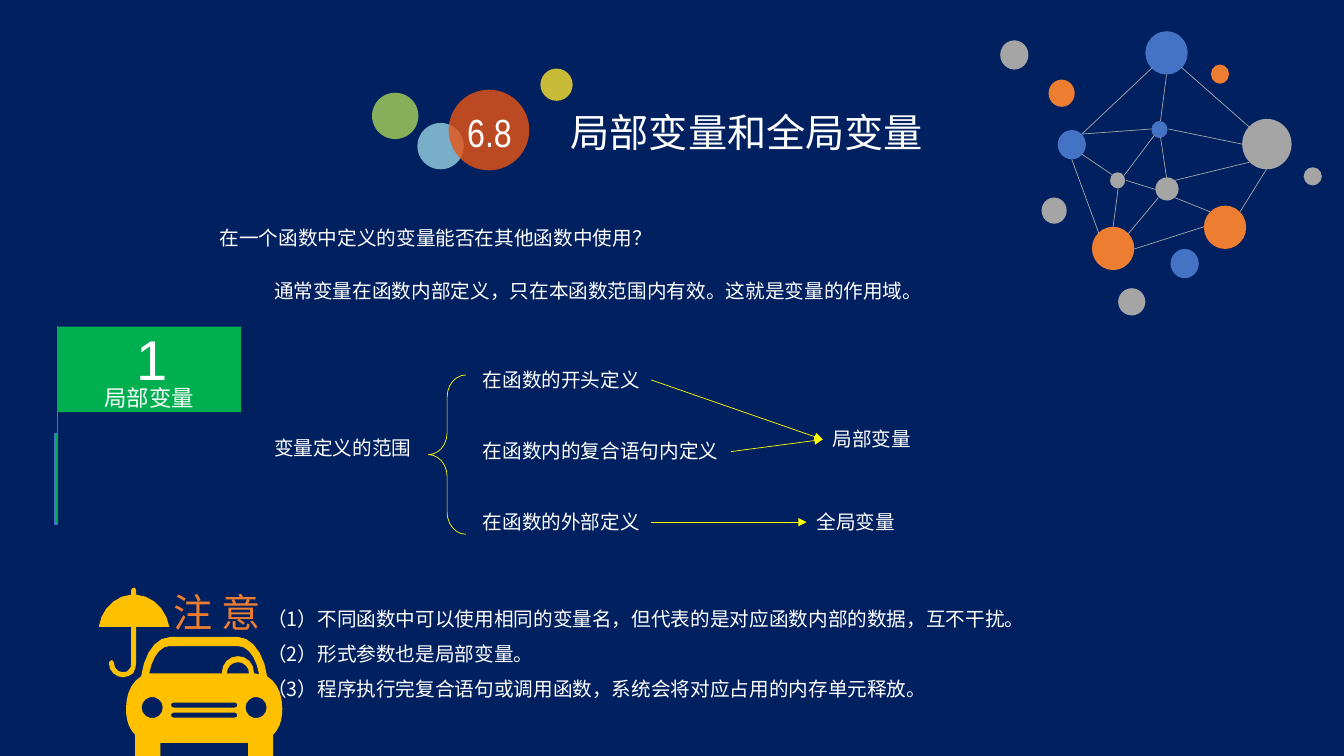
from dataclasses import dataclass
from math import ceil, cos, dist, pi, sin
from typing import NamedTuple

from lxml import etree
from pptx import Presentation
from pptx import util as u
from pptx.dml.color import RGBColor
from pptx.enum import shapes, text
from pptx.oxml.ns import qn


@dataclass(frozen=True)
class Theme:
    background: str = "002060"
    white: str = "FFFFFF"
    blue: str = "4472C4"
    orange: str = "ED7D31"
    gray: str = "A5A5A5"
    green: str = "00B050"
    amber: str = "FFC000"
    yellow: str = "FFFF00"
    font: str = "Noto Sans CJK SC"
    flag_font: str = "Arial"
    badge_font: str = "Arial Narrow"
    title_size: int = 28
    number_size: int = 40
    label_size: int = 16
    body_size: int = 14


THEME = Theme()


class Circle(NamedTuple):
    left: float
    top: float
    width: float
    height: float
    color: str


class Label(NamedTuple):
    left: float
    top: float
    width: float
    content: str


class Link(NamedTuple):
    x1: float
    y1: float
    x2: float
    y2: float


LABEL_HEIGHT = 0.34
BADGE_CIRCLES = [
    Circle(5.36, 0.68, 0.32, 0.32, "FBE22D"), Circle(3.69, 0.92, 0.46, 0.46, "A9D25A"),
    Circle(4.14, 1.22, 0.46, 0.46, "98D2E3"), Circle(4.45, 0.89, 0.8, 0.8, "EA5514"),
]
NETWORK_CIRCLES = [
    Circle(*box, color)
    for color, boxes in {
        THEME.blue: [(11.36, 0.31, 0.42, 0.43), (10.49, 1.29, 0.28, 0.29),
                     (11.42, 1.2, 0.16, 0.17), (11.61, 2.47, 0.28, 0.29)],
        THEME.orange: [(10.83, 2.25, 0.42, 0.43), (12.01, 0.64, 0.18, 0.19),
                       (11.94, 2.04, 0.42, 0.43), (10.4, 0.79, 0.26, 0.27)],
        THEME.gray: [(11.46, 1.76, 0.23, 0.23), (12.32, 1.18, 0.49, 0.5), (11.01, 1.71, 0.15, 0.16),
                     (9.92, 0.4, 0.28, 0.29), (11.09, 2.86, 0.27, 0.27),
                     (10.33, 1.96, 0.25, 0.26), (12.93, 1.66, 0.18, 0.18)],
    }.items()
    for box in boxes
]
NETWORK_LINKS = [
    Link(11.72, 0.67, 12.39, 1.26), Link(11.65, 1.79, 12.39, 1.61), Link(12.3, 2.1, 12.56, 1.68),
    Link(11.19, 2.32, 11.49, 1.96), Link(10.73, 1.33, 11.43, 0.67), Link(11.51, 1.2, 11.57, 0.74),
    Link(12.32, 1.43, 11.59, 1.28), Link(11.51, 1.36, 11.57, 1.76), Link(11.65, 1.96, 12, 2.1),
    Link(10.73, 1.33, 11.42, 1.28), Link(10.63, 1.58, 10.9, 2.32), Link(10.73, 1.53, 11.04, 1.74),
    Link(11.15, 1.74, 11.45, 1.34), Link(11.17, 1.79, 11.46, 1.88), Link(11.04, 2.25, 11.09, 1.87),
    Link(11.25, 2.47, 11.94, 2.25),
]
INTRO = [
    Label(2.62, 2.72, 6.68, "通常变量在函数内部定义，只在本函数范围内有效。这就是变量的作用域。"),
    Label(2.08, 2.19, 4.52, "在一个函数中定义的变量能否在其他函数中使用？"),
    Label(2.62, 4.28, 1.58, "变量定义的范围"),
]
PLACES = [
    Label(4.69, 3.6, 1.77, "在函数的开头定义"),
    Label(4.69, 4.31, 2.56, "在函数内的复合语句内定义"),
    Label(4.69, 5.01, 1.77, "在函数的外部定义"),
]
SCOPES = [Label(8.16, 4.19, 0.99, "局部变量"), Label(8, 5.01, 0.99, "全局变量")]
NOTES = """（1）不同函数中可以使用相同的变量名，但代表的是对应函数内部的数据，互不干扰。
（2）形式参数也是局部变量。
（3）程序执行完复合语句或调用函数，系统会将对应占用的内存单元释放。"""


def inches(*values: float) -> list:
    return [u.Inches(value) for value in values]


def place(shape, left: float, top: float, width: float, height: float) -> None:
    shape.left, shape.top, shape.width, shape.height = inches(left, top, width, height)


def write_text(shape, content: str, *, size=THEME.body_size, font=THEME.font, color=THEME.white,
               align=text.PP_ALIGN.LEFT, anchor=text.MSO_ANCHOR.TOP, spacing=1.0,
               wrap=False, grow=True, insets=(0.1, 0.05)) -> None:
    frame = shape.text_frame
    frame.text = content
    frame.word_wrap, frame.vertical_anchor = wrap, anchor
    frame.auto_size = text.MSO_AUTO_SIZE.SHAPE_TO_FIT_TEXT if grow else text.MSO_AUTO_SIZE.NONE
    frame.margin_left = frame.margin_right = u.Inches(insets[0])
    frame.margin_top = frame.margin_bottom = u.Inches(insets[1])
    for paragraph in frame.paragraphs:
        paragraph.alignment, paragraph.line_spacing = align, spacing
        paragraph.space_before = u.Pt(0)
        for run in paragraph.runs:
            run.font.size, run.font.name = u.Pt(size), font
            run.font.color.rgb = RGBColor.from_string(color)
            etree.SubElement(run.font._element, qn("a:ea"), typeface=font)


def add_text(slide, box: tuple, content: str, **style):
    shape = slide.shapes.add_textbox(*inches(*box))
    write_text(shape, content, **style)
    return shape


def add_label(slide, label: Label):
    return add_text(slide, (label.left, label.top, label.width, LABEL_HEIGHT), label.content)


def paint(shape, fill=None, line=None, weight=0.5, alpha=None) -> None:
    shape.shadow.inherit = False
    if fill:
        shape.fill.solid()
        shape.fill.fore_color.rgb = RGBColor.from_string(fill)
    else:
        shape.fill.background()
    if line:
        shape.line.color.rgb = RGBColor.from_string(line)
        shape.line.width = u.Pt(weight)
    else:
        shape.line.fill.background()
    if alpha:
        color = shape.element.spPr.find(".//" + qn("a:srgbClr"))
        etree.SubElement(color, qn("a:alpha"), val=str(alpha * 1000))


def add_preset(slide, kind, box: tuple, **style):
    shape = slide.shapes.add_shape(kind, *inches(*box))
    paint(shape, **style)
    return shape


def add_circle(slide, circle: Circle, alpha=None) -> None:
    add_preset(slide, shapes.MSO_SHAPE.OVAL, circle[:4], fill=circle.color, alpha=alpha)


def add_line(slide, link: Link, color: str, arrow=False):
    line = slide.shapes.add_connector(shapes.MSO_CONNECTOR.STRAIGHT, *inches(*link))
    line.line.color.rgb, line.line.width = RGBColor.from_string(color), u.Pt(0.5)
    if arrow:
        etree.SubElement(line.line._get_or_add_ln(), qn("a:tailEnd"), type="triangle")
    etree.SubElement(line.element.spPr, qn("a:effectLst"))
    return line


def arc(x: float, y: float, radius: float, start: float, end: float, steps: int) -> list:
    """Points on a circle; angles are in half turns, clockwise from the right."""
    angles = [pi * (start + (end - start) * step / steps) for step in range(steps + 1)]
    return [(x + radius * cos(angle), y + radius * sin(angle)) for angle in angles]


def outline(*segments: tuple) -> list:
    """Points along segments of two numbers (a line) or six (a Bézier curve)."""
    points = [segments[0]]
    for segment in segments[1:]:
        if len(segment) == 2:
            points.append(segment)
            continue
        controls = [points[-1], segment[:2], segment[2:4], segment[4:]]
        steps = min(5, max(2, ceil(dist(controls[0], controls[3]) / 0.06)))
        for step in range(1, steps + 1):
            t = step / steps
            weights = ((1 - t) ** 3, 3 * t * (1 - t) ** 2, 3 * t * t * (1 - t), t ** 3)
            points.append(tuple(sum(w * c[axis] for w, c in zip(weights, controls)) for axis in (0, 1)))
    return points


def add_car_and_umbrella(slide):
    grille = [arc(1.72, y, 0.025, 0.5, 1.5, 3) + arc(2.33, y, 0.025, -0.5, 0.5, 3) for y in (6.995, 7.095)]
    lamps = [arc(x, 7.02, 0.105, 0, 2, 14) for x in (1.51, 2.54)]
    wheel = arc(2.36, 6.68, 0.11, 1, 2, 8)
    window = outline((1.68, 6.41), (1.59, 6.41, 1.51, 6.52, 1.48, 6.68), (2.2, 6.68),
                     (2.2, 6.58, 2.27, 6.51, 2.36, 6.51), (2.45, 6.51, 2.52, 6.58, 2.52, 6.68),
                     (2.57, 6.69), (2.54, 6.52, 2.46, 6.41, 2.36, 6.41))
    body = outline((1.69, 6.32), (2.36, 6.32), (2.5, 6.32, 2.62, 6.49, 2.65, 6.71),
                   (2.75, 6.77, 2.8, 6.89, 2.8, 7.03), (2.8, 7.13, 2.78, 7.22, 2.71, 7.29),
                   (2.71, 7.5), (2.46, 7.5), (2.46, 7.37), (1.59, 7.37), (1.59, 7.5), (1.34, 7.5),
                   (1.34, 7.29), (1.27, 7.22, 1.25, 7.13, 1.25, 7.03),
                   (1.25, 6.89, 1.3, 6.77, 1.4, 6.71), (1.43, 6.49, 1.54, 6.32, 1.69, 6.32))
    umbrella = outline((1.33, 5.83), (1.34, 5.83, 1.35, 5.84, 1.35, 5.86), (1.35, 5.9),
                       (1.52, 5.91, 1.65, 6.05, 1.68, 6.22), (1.35, 6.22), (1.35, 6.58),
                       (1.35, 6.61, 1.34, 6.65, 1.32, 6.68), (1.29, 6.7, 1.26, 6.72, 1.22, 6.72),
                       (1.15, 6.72, 1.08, 6.66, 1.08, 6.58), (1.08, 6.57, 1.09, 6.55, 1.11, 6.55),
                       (1.12, 6.55, 1.13, 6.57, 1.13, 6.58), (1.13, 6.63, 1.17, 6.67, 1.22, 6.67),
                       (1.25, 6.67, 1.27, 6.66, 1.28, 6.64), (1.3, 6.63, 1.3, 6.61, 1.3, 6.58),
                       (1.3, 6.22), (0.98, 6.22), (1, 6.05, 1.14, 5.91, 1.3, 5.9), (1.3, 5.86),
                       (1.3, 5.84, 1.32, 5.83, 1.33, 5.83))
    builder = slide.shapes.build_freeform(*inches(*body[0]))
    builder.add_line_segments([inches(*point) for point in body[1:]], close=True)
    for contour in [window, wheel, umbrella, *grille, *lamps]:
        builder.move_to(*inches(*contour[0]))
        builder.add_line_segments([inches(*point) for point in contour[1:]], close=True)
    shape = builder.convert_to_shape()
    paint(shape, fill=THEME.amber)
    return shape


def add_flag(slide) -> None:
    add_line(slide, Link(0.57, 5.2, 0.57, 3.23), THEME.blue)
    rectangle = shapes.MSO_SHAPE.RECTANGLE
    add_preset(slide, rectangle, (0.54, 4.3, 0.03, 0.9), fill=THEME.green, line=THEME.blue, weight=1)
    add_preset(slide, rectangle, (0.57, 3.24, 1.82, 0.85), fill=THEME.green)
    style = dict(font=THEME.flag_font, align=text.PP_ALIGN.CENTER, anchor=text.MSO_ANCHOR.MIDDLE,
                 spacing=1.3, wrap=True, grow=False, insets=(0.14, 0.07))
    add_text(slide, (0.45, 3.74, 2.06, 0.33), "局部变量", size=THEME.label_size, **style)
    add_text(slide, (1.04, 3.16, 0.93, 0.58), "1", size=THEME.number_size, **style)


def add_scope_diagram(slide) -> None:
    brace = add_preset(slide, shapes.MSO_SHAPE.LEFT_BRACE, (4.25, 3.72, 0.37, 1.58), line=THEME.yellow)
    brace.adjustments[0], brace.adjustments[1] = 0.589, 0.5
    places = [add_label(slide, label) for label in PLACES]
    local, public = [add_label(slide, label) for label in SCOPES]
    for source, target in zip(places, (local, local, public)):
        arrow = add_line(slide, Link(0, 0, 1, 1), THEME.yellow, arrow=True)
        arrow.begin_connect(source, 3)
        arrow.end_connect(target, 1)


def main() -> None:
    presentation = Presentation()
    presentation.slide_width, presentation.slide_height = inches(13.33, 7.5)
    slide = presentation.slides.add_slide(presentation.slide_layouts[1])
    slide.background.fill.solid()
    slide.background.fill.fore_color.rgb = RGBColor.from_string(THEME.background)

    title, notes = slide.placeholders
    place(title, 5.56, 1.02, 3.74, 0.57)
    write_text(title, "局部变量和全局变量", size=THEME.title_size)
    place(notes, 2.55, 5.85, 7.98, 1.12)
    write_text(notes, NOTES, spacing=1.5)
    for paragraph in notes.text_frame.paragraphs:
        properties = paragraph._p.get_or_add_pPr()
        properties.set("marL", "0")
        properties.set("indent", "0")
        etree.SubElement(properties, qn("a:buNone"))

    title.element.addprevious(add_car_and_umbrella(slide).element)
    add_text(slide, (1.62, 5.79, 1.1, 0.57), "注 意", size=THEME.title_size, color=THEME.orange)
    for circle in BADGE_CIRCLES:
        add_circle(slide, circle, alpha=80)
    add_text(slide, (4.57, 1.07, 0.57, 0.47), "6.8", size=THEME.title_size, font=THEME.badge_font,
             align=text.PP_ALIGN.CENTER, wrap=True, insets=(0, 0))
    add_flag(slide)
    for label in INTRO:
        add_label(slide, label)
    add_scope_diagram(slide)
    for circle in NETWORK_CIRCLES:
        add_circle(slide, circle)
    for link in NETWORK_LINKS:
        add_line(slide, link, THEME.gray)
    presentation.save("out.pptx")


if __name__ == "__main__":
    main()
